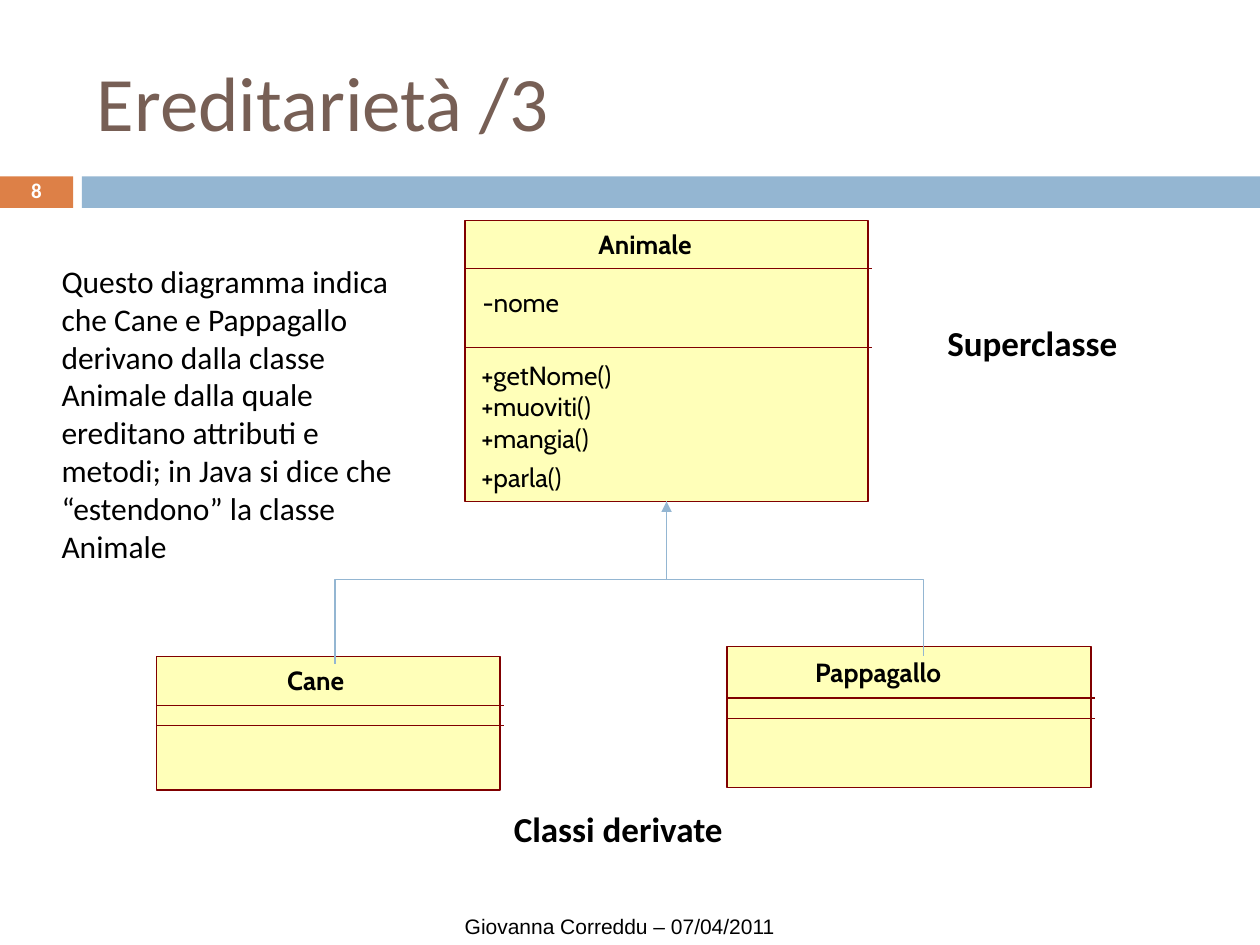
from math import copysign

from lxml.etree import SubElement
from pptx import Presentation
from pptx.dml.color import RGBColor
from pptx.enum.shapes import MSO_CONNECTOR as Link, MSO_SHAPE as Shape
from pptx.enum.text import MSO_ANCHOR as Anchor, PP_ALIGN as Align
from pptx.oxml.ns import qn
from pptx.util import Inches, Pt

ORANGE = RGBColor(0xDD, 0x80, 0x47)
BLUE = RGBColor(0x94, 0xB6, 0xD2)
BROWN = RGBColor(0x77, 0x5F, 0x55)
MAROON = RGBColor(0x80, 0x00, 0x00)
YELLOW = RGBColor(0xFF, 0xFF, 0xB9)
BLACK = RGBColor(0x00, 0x00, 0x00)
WHITE = RGBColor(0xFF, 0xFF, 0xFF)

TITLE = {"name": "Calibri", "size": Pt(44), "bold": False, "color": BROWN}
NUMBER = {"name": "Calibri", "size": Pt(12), "bold": True, "color": WHITE}
BODY = {"name": "Calibri", "size": Pt(18), "bold": False, "color": BLACK}
LABEL = {"name": "Calibri", "size": Pt(20), "bold": True, "color": BLACK}
FOOTER = {"name": "Arial", "size": Pt(12), "bold": False, "color": BLACK}
MEMBER = {"name": "Cabin", "size": Pt(15), "bold": False, "color": BLACK}
CLASS_NAME = MEMBER | {"bold": True}

OVERHANG = 0.03


class ClassDiagram:
    def __init__(self, page):
        self.page = page

    def rectangle(self, left, top, width, height, fill, line=None):
        box = self.page.shapes.add_shape(
            Shape.RECTANGLE, Inches(left), Inches(top), Inches(width), Inches(height))
        box.shadow.inherit = False
        box.fill.solid()
        box.fill.fore_color.rgb = fill
        if line is None:
            box.line.fill.background()
        else:
            box.line.color.rgb = line
            box.line.width = Pt(0.75)
        return box

    def text(self, left, top, width, height, lines, style, margins=(0.1, 0.05),
             anchor=Anchor.TOP, **layout):
        """Write one paragraph per line; layout holds paragraph attributes."""
        box = self.page.shapes.add_textbox(
            Inches(left), Inches(top), Inches(width), Inches(height))
        frame = box.text_frame
        frame.word_wrap = True
        frame.vertical_anchor = anchor
        frame.margin_left = frame.margin_right = Inches(margins[0])
        frame.margin_top = frame.margin_bottom = Inches(margins[1])
        frame.text = "\n".join(lines)
        for para in frame.paragraphs:
            for key, value in layout.items():
                setattr(para, key, value)
            for span in para.runs:
                for key, value in style.items():
                    if key == "color":
                        span.font.color.rgb = value
                    else:
                        setattr(span.font, key, value)
        return frame

    def connector(self, kind, begin, end, color, width):
        link = self.page.shapes.add_connector(
            kind, *(Inches(value) for value in (*begin, *end)))
        link.line.color.rgb = color
        link.line.width = Pt(width)
        SubElement(link._element.spPr, qn("a:effectLst"))
        return link

    def class_box(self, left, top, width, height, dividers, name, name_at):
        self.rectangle(left, top, width, height, YELLOW, MAROON)
        for y in dividers:
            self.connector(Link.STRAIGHT, (left, y), (left + width + OVERHANG, y),
                           MAROON, 0.75)
        self.text(*name_at, 1.5, 0.25, [name], CLASS_NAME, margins=(0, 0))

    def inheritance(self, parent, child, bend, arrow=False):
        """Join parent and child by a vertical, horizontal, vertical line."""
        (x1, y1), (x2, y2) = parent, child
        drop = y2 - y1
        middle_x, middle_y = (x1 + x2) / 2, (y1 + y2) / 2
        reach = copysign(drop / 2, x2 - x1)
        half = abs(x2 - x1) / 2
        # The elbow is laid out sideways and then turned upright.
        link = self.connector(Link.ELBOW, (middle_x + reach, middle_y - half),
                              (middle_x - reach, middle_y + half), BLUE, 0.79)
        properties = link._element.spPr
        angle = 270 if x2 > x1 else 90
        properties.find(qn("a:xfrm")).set("rot", str(angle * 60000))
        guides = properties.find(qn("a:prstGeom")).find(qn("a:avLst"))
        ratio = round((bend - y1) / drop * 100000)
        SubElement(guides, qn("a:gd"), name="adj1", fmla=f"val {ratio}")
        if arrow:
            outline = properties.find(qn("a:ln"))
            SubElement(outline, qn("a:headEnd"), type="triangle")


def main():
    deck = Presentation()
    deck.slide_width, deck.slide_height = Inches(10), Inches(7.5)
    diagram = ClassDiagram(deck.slides.add_slide(deck.slide_layouts[6]))

    diagram.rectangle(0, 1.4, 0.58, 0.25, ORANGE)
    diagram.rectangle(0.65, 1.4, 9.35, 0.25, BLUE)
    diagram.text(3.59, 7.2, 3.44, 0.3, ["Giovanna Correddu – 07/04/2011"], FOOTER)
    diagram.text(0.67, 0.25, 8.92, 1.08, ["Ereditarietà /3"], TITLE,
                 anchor=Anchor.MIDDLE, line_spacing=1.02)
    diagram.text(0, 1.39, 0.58, 0.27, ["8"], NUMBER, anchor=Anchor.MIDDLE,
                 alignment=Align.CENTER, line_spacing=0.8)

    diagram.class_box(1.24, 5.21, 2.73, 1.06, (5.6, 5.76), "Cane", (2.28, 5.27))
    diagram.class_box(5.77, 5.13, 2.89, 1.12, (5.54, 5.7), "Pappagallo", (6.47, 5.21))
    diagram.class_box(3.69, 1.75, 3.2, 2.23, (2.13, 2.76), "Animale", (4.75, 1.81))
    diagram.text(3.83, 2.27, 0.93, 0.39, ["-nome"], MEMBER, margins=(0, 0))
    methods = diagram.text(
        3.82, 2.85, 1.38, 1.06,
        ["+getNome()", "+muoviti()", "+mangia()", "+parla()"], MEMBER, margins=(0, 0))
    methods.paragraphs[-1].space_before = Pt(4.5)

    diagram.text(
        0.39, 2.03, 2.97, 2.8,
        ["Questo diagramma indica che Cane e Pappagallo derivano dalla classe "
         "Animale dalla quale ereditano attributi e metodi; in Java si dice che "
         "“estendono” la classe Animale"], BODY)
    diagram.text(7.42, 2.5, 2.34, 0.44, ["Superclasse"], LABEL)
    diagram.text(3.98, 6.36, 2.34, 0.44, ["Classi derivate"], LABEL)

    animal = (5.29, 3.98)
    diagram.inheritance(animal, (7.33, 5.21), bend=4.6)
    diagram.inheritance(animal, (2.66, 5.27), bend=4.6, arrow=True)

    deck.save("out.pptx")


if __name__ == "__main__":
    main()
